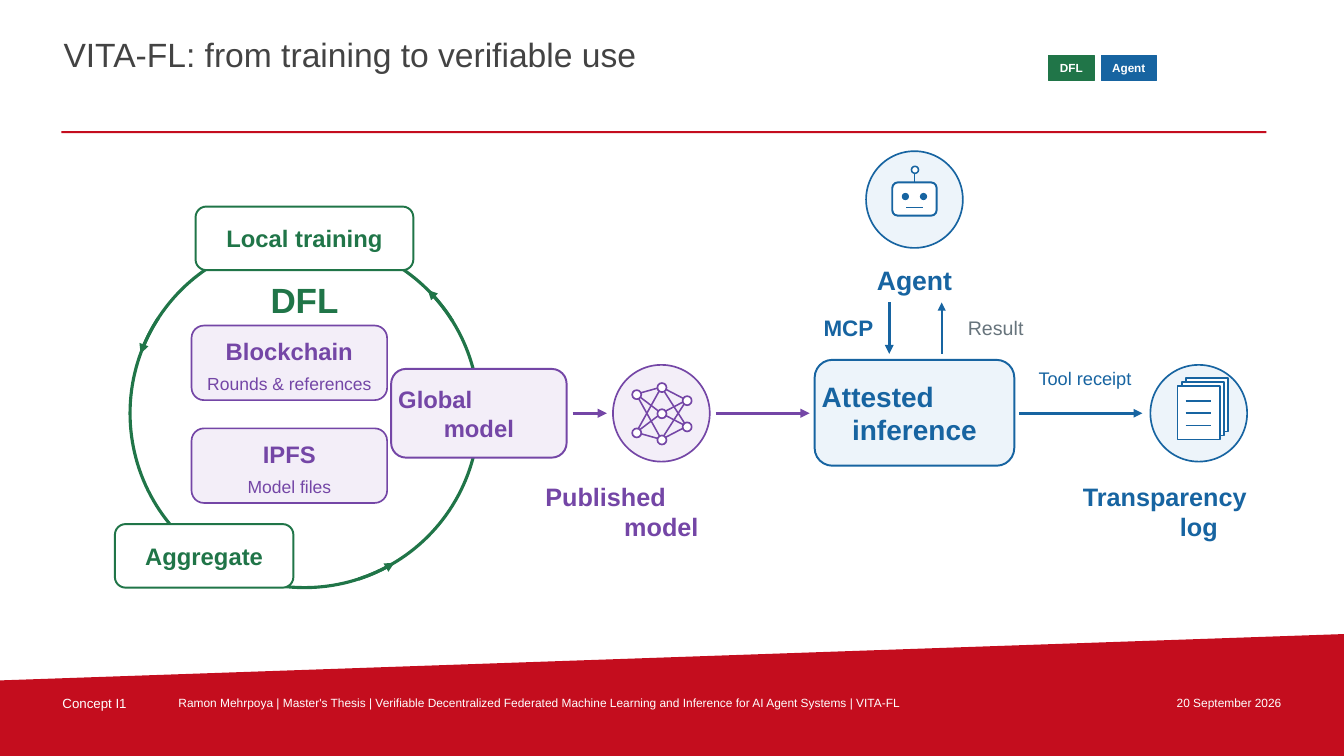
import itertools
import math
from dataclasses import dataclass

import lxml.etree
import pptx
import pptx.dml.color
import pptx.enum.shapes
import pptx.enum.text
import pptx.oxml.ns
import pptx.util

EMU_PER_PX = 9144
COLOURS = {
    "red": "C40D1E", "white": "FFFFFF", "ink": "434343", "grey": "67747C",
    "green": "207548", "purple": "7446A6", "lilac": "F3EEF8",
    "blue": "1764A1", "ice": "EDF4FA",
}
SHAPES = pptx.enum.shapes.MSO_SHAPE
RECTANGLE, ROUNDED, OVAL = SHAPES.RECTANGLE, SHAPES.ROUNDED_RECTANGLE, SHAPES.OVAL
LEFT = pptx.enum.text.PP_ALIGN.LEFT
CENTER = pptx.enum.text.PP_ALIGN.CENTER
RIGHT = pptx.enum.text.PP_ALIGN.RIGHT
TOP = pptx.enum.text.MSO_ANCHOR.TOP
MIDDLE = pptx.enum.text.MSO_ANCHOR.MIDDLE

Box = tuple[int, int, int, int]


@dataclass
class Panel:
    kind: SHAPES
    box: Box
    fill: str
    outline: str | None = None
    weight: float = 1.2


@dataclass
class Label:
    text: str
    box: Box
    size: float
    colour: str
    bold: bool = True
    aligns: tuple = (CENTER,)
    anchor: MIDDLE = MIDDLE
    inset: int = 0


@dataclass
class Stroke:
    start: tuple[float, float]
    end: tuple[float, float]
    colour: str
    weight: float
    arrow: bool = False


def px(length: float) -> pptx.util.Emu:
    return pptx.util.Emu(round(length * EMU_PER_PX))


def rgb(name: str) -> pptx.dml.color.RGBColor:
    return pptx.dml.color.RGBColor.from_string(COLOURS[name])


def apply_format(target, values: dict) -> None:
    for name, value in values.items():
        setattr(target, name, value)


def write_label(shape, label: Label) -> None:
    frame = shape.text_frame
    margins = ("margin_left", "margin_top", "margin_right", "margin_bottom")
    apply_format(frame, dict.fromkeys(margins, px(label.inset)) | {
        "text": label.text, "word_wrap": True, "vertical_anchor": label.anchor,
        "auto_size": pptx.enum.text.MSO_AUTO_SIZE.SHAPE_TO_FIT_TEXT,
    })
    for paragraph, align in zip(frame.paragraphs, label.aligns):
        paragraph.alignment = align
        apply_format(paragraph.font, {
            "name": "Arial", "size": pptx.util.Pt(label.size), "bold": label.bold,
        })
        paragraph.font.color.rgb = rgb(label.colour)


def draw_label(slide, label: Label) -> None:
    write_label(slide.shapes.add_textbox(*map(px, label.box)), label)


def paint(shape, fill: str, outline: str | None, weight: float) -> None:
    shape.shadow.inherit = False
    shape.fill.solid()
    shape.fill.fore_color.rgb = rgb(fill)
    if outline is None:
        shape.line.fill.background()
    else:
        shape.line.color.rgb = rgb(outline)
        shape.line.width = pptx.util.Pt(weight)


def draw_panel(slide, panel: Panel) -> None:
    shape = slide.shapes.add_shape(panel.kind, *map(px, panel.box))
    paint(shape, panel.fill, panel.outline, panel.weight)


def draw_stroke(slide, stroke: Stroke) -> None:
    connector = slide.shapes.add_connector(
        pptx.enum.shapes.MSO_CONNECTOR.STRAIGHT, *map(px, stroke.start + stroke.end))
    connector.line.color.rgb = rgb(stroke.colour)
    connector.line.width = pptx.util.Pt(stroke.weight)
    qn = pptx.oxml.ns.qn
    properties = connector._element.spPr
    if stroke.arrow:
        lxml.etree.SubElement(properties.find(qn("a:ln")), qn("a:tailEnd"), type="triangle")
    lxml.etree.SubElement(properties, qn("a:effectLst"))


def draw_footer_band(slide) -> None:
    builder = slide.shapes.build_freeform(0, 675, EMU_PER_PX)
    builder.add_line_segments([(1333, 629), (1333, 750), (0, 750)], close=True)
    paint(builder.convert_to_shape(), "red", None, 0)


def ring_arrow(start_angle: int) -> list[Stroke]:
    sweep, steps = 13, 8
    angles = [math.radians(start_angle - sweep * i / steps) for i in range(steps + 1)]
    points = [(302 + 173 * math.cos(a), 410 + 173 * math.sin(a)) for a in angles]
    return [Stroke(*pair, "green", 2.3, i == steps - 1)
            for i, pair in enumerate(itertools.pairwise(points))]


def chip(text: str, left: int, width: int, colour: str) -> list:
    box = (left, 55, width, 25)
    return [Panel(RECTANGLE, box, colour, colour, 0.55), Label(text, box, 8.4, "white")]


def stage(text: str, box: Box, size: int, colour: str, fill: str) -> list:
    left, top, width, height = box
    aligns = (LEFT, CENTER) if "\n" in text else (CENTER,)
    return [Panel(ROUNDED, box, fill, colour, 1.4),
            Label(text, (left + 7, top + 3, width - 14, height - 6), size, colour,
                  aligns=aligns)]


def store(name: str, detail: str, top: int) -> list:
    return [Panel(ROUNDED, (190, top, 194, 74), "lilac", "purple"),
            Label(name, (195, top + 9, 184, 33), 17, "purple"),
            Label(detail, (195, top + 46, 184, 23), 12.5, "purple", False)]


def network_icon() -> list:
    layers = [[(631, 391), (631, 429)],
              [(656, 384), (656, 410), (656, 436)],
              [(681, 397), (681, 423)]]
    edges = [Stroke(a, b, "purple", 1.1)
             for left, right in itertools.pairwise(layers)
             for a, b in itertools.product(left, right)]
    nodes = [Panel(OVAL, (x - 4, y - 4, 9, 9), "white", "purple")
             for x, y in itertools.chain(*layers)]
    return [Panel(OVAL, (608, 362, 96, 96), "lilac", "purple"), *edges, *nodes]


def agent_icon() -> list:
    return [
        Panel(OVAL, (859, 150, 96, 96), "ice", "blue"),
        Panel(ROUNDED, (885, 181, 44, 33), "white", "blue", 1.4),
        *[Panel(OVAL, (x, 192, 6, 6), "blue", "blue", 0.8) for x in (895, 913)],
        Stroke((899, 206), (915, 206), "blue", 1.2),
        Stroke((907, 181), (907, 172), "blue", 1.2),
        Panel(OVAL, (904, 165, 7, 7), "white", "blue", 1.1),
    ]


def log_icon() -> list:
    pages = [Panel(RECTANGLE, (1176 - 4 * i, 375 + 4 * i, 42, 53), "white", "blue")
             for i in range(3)]
    lines = [Stroke((1176, y), (1201, y), "blue", 1.2) for y in (398, 410, 422)]
    return [Panel(OVAL, (1141, 362, 96, 96), "ice", "blue"), *pages, *lines]


TITLE = Label("VITA-FL: from training to verifiable use", (61, 32, 965, 62), 24, "ink",
              False, (LEFT,), TOP, 2)
FOOTER = " | ".join([
    "Ramon Mehrpoya", "Master's Thesis",
    "Verifiable Decentralized Federated Machine Learning and Inference for AI Agent Systems",
    "VITA-FL"])
ELEMENTS = [
    Panel(RECTANGLE, (61, 130, 1195, 2), "red"),
    Label("Concept I1", (60, 688, 100, 22), 9.5, "white", False, (LEFT,), TOP, 2),
    Label(FOOTER, (175, 688, 935, 22), 8.5, "white", False, (LEFT,), TOP, 2),
    Label("20 September 2026", (1120, 688, 153, 22), 8.5, "white", False, (RIGHT,), TOP, 2),
    *chip("DFL", 1040, 45, "green"),
    *chip("Agent", 1092, 55, "blue"),
    Panel(OVAL, (129, 237, 346, 346), "white", "green", 2.25),
    *ring_arrow(213), *ring_arrow(72), *ring_arrow(-32),
    *stage("Local training", (194, 205, 216, 63), 17, "green", "white"),
    *stage("Aggregate", (114, 520, 177, 63), 17, "green", "white"),
    *stage("Global\nmodel", (388, 366, 174, 88), 17, "purple", "lilac"),
    Label("DFL", (238, 276, 128, 42), 25, "green"),
    *store("Blockchain", "Rounds & references", 323),
    *store("IPFS", "Model files", 425),
    Stroke((568, 410), (602, 410), "purple", 2.2, True),
    *network_icon(),
    Label("Published\nmodel", (541, 471, 230, 72), 18, "purple", aligns=(LEFT, CENTER)),
    Stroke((710, 410), (803, 410), "purple", 2.2, True),
    *stage("Attested\ninference", (808, 357, 198, 105), 20, "blue", "ice"),
    *agent_icon(),
    Label("Agent", (792, 259, 230, 38), 19, "blue"),
    Stroke((882, 300), (882, 351), "blue", 2.1, True),
    Label("MCP", (809, 310, 65, 30), 16, "blue"),
    Stroke((934, 351), (934, 300), "blue", 1.5, True),
    Label("Result", (948, 310, 79, 30), 14, "grey", False),
    Stroke((1011, 410), (1133, 410), "blue", 2.1, True),
    Label("Tool receipt", (1015, 359, 122, 33), 13, "blue", False),
    *log_icon(),
    Label("Transparency\nlog", (1074, 471, 230, 72), 18, "blue", aligns=(LEFT, CENTER)),
]
DRAWERS = {Panel: draw_panel, Label: draw_label, Stroke: draw_stroke}


def main() -> None:
    presentation = pptx.Presentation()
    apply_format(presentation, {"slide_width": px(1333), "slide_height": px(750)})
    slide = presentation.slides.add_slide(presentation.slide_layouts[5])
    title = slide.shapes.title
    apply_format(title, dict(zip(("left", "top", "width", "height"), map(px, TITLE.box))))
    write_label(title, TITLE)
    draw_footer_band(slide)
    for element in ELEMENTS:
        DRAWERS[type(element)](slide, element)
    presentation.save("out.pptx")


if __name__ == "__main__":
    main()
